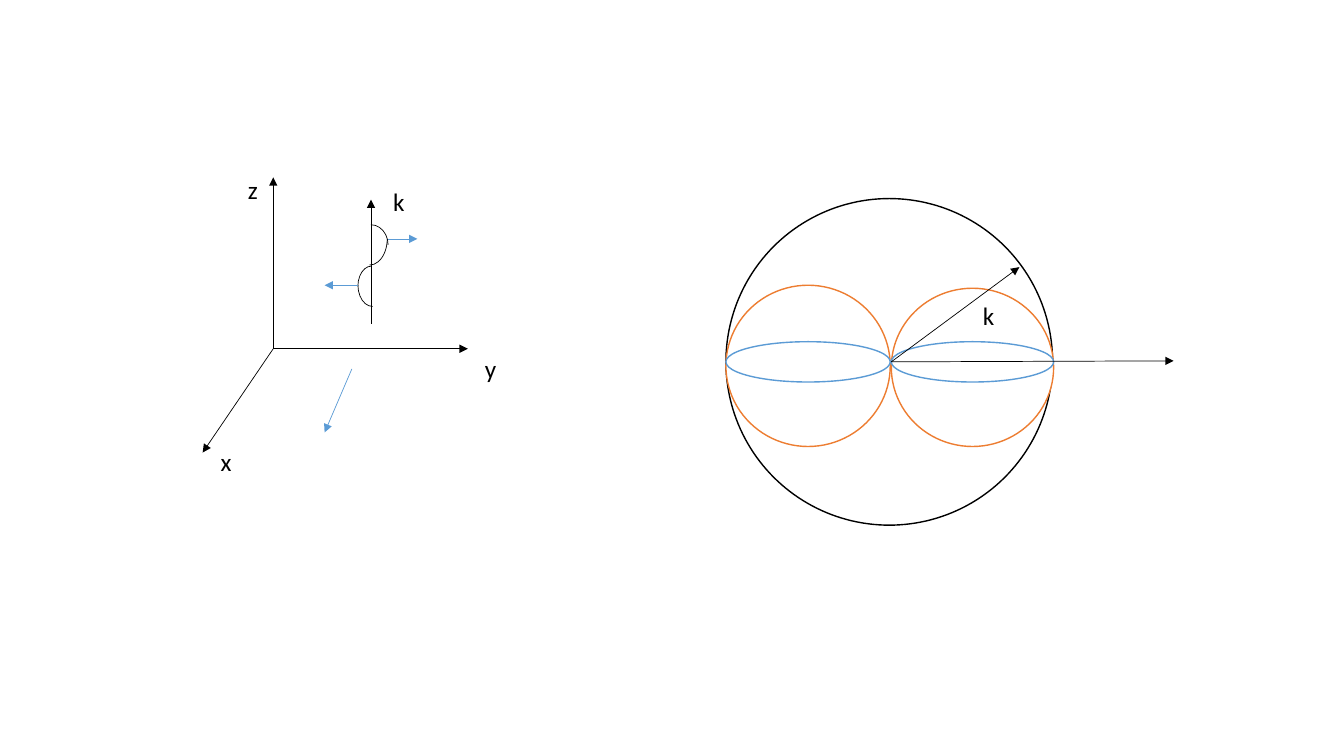
"""Build a slide with a polarised wave in x, y, z axes and its radiation pattern."""
from lxml import etree
from pptx import Presentation
from pptx.dml.color import RGBColor
from pptx.enum.shapes import MSO_CONNECTOR, MSO_SHAPE
from pptx.oxml.ns import qn
from pptx.util import Inches, Pt

ARC = MSO_SHAPE.ARC
ELLIPSE = MSO_SHAPE.OVAL
STRAIGHT = MSO_CONNECTOR.STRAIGHT

BLACK = RGBColor(0x00, 0x00, 0x00)
WHITE = RGBColor(0xFF, 0xFF, 0xFF)
BLUE = RGBColor(0x5B, 0x9B, 0xD5)
ORANGE = RGBColor(0xED, 0x7D, 0x31)

FONT = "Calibri"
THIN, MEDIUM = 0.5, 1
LABEL_SIZE = (0.21, 0.4)

ORIGIN = (2.71, 3.46)
AXIS_TIPS = [(4.64, 3.46), (2.71, 1.76), (2.01, 4.49)]
WAVE_ARROW = ((3.68, 3.21), (3.68, 1.98))
FIELD_ARROWS = [
    ((3.49, 3.66), (3.22, 4.29)),
    ((3.85, 2.37), (4.14, 2.37)),
    ((3.55, 2.83), (3.22, 2.83)),
]
WAVE_ARCS = [
    ((3.51, 2.23, 0.34, 0.4), 0, False),
    ((3.49, 2.11, 0.35, 0.52), 180, True),
    ((3.55, 2.64, 0.27, 0.4), 0, True),
    ((3.55, 2.62, 0.29, 0.42), 180, False),
]

CENTRE = (8.84, 3.59)
SPHERE = (7.2, 1.97, 3.24, 3.24)
LOBES = [
    ((7.2, 2.83, 1.63, 1.6), ORANGE),
    ((8.84, 2.86, 1.61, 1.57), ORANGE),
    ((7.2, 3.39, 1.63, 0.4), BLUE),
    ((8.84, 3.39, 1.61, 0.4), BLUE),
]
PATTERN_TIPS = [(10.11, 2.65), (11.64, 3.58)]

LABELS = [
    ("x", (2.09, 4.38)),
    ("y", (4.71, 3.46)),
    ("z", (2.36, 1.68)),
    ("k", (3.8, 1.8)),
    ("k", (9.65, 2.93)),
]


def add_arrow(page, start, end, color=BLACK):
    """Draw a thin line with an arrowhead at its end."""
    arrow = page.shapes.add_connector(STRAIGHT, *map(Inches, start + end))
    arrow.line.color.rgb = color
    arrow.line.width = Pt(THIN)
    properties = arrow.element.spPr
    etree.SubElement(properties.find(qn("a:ln")), qn("a:tailEnd"), type="triangle")
    etree.SubElement(properties, qn("a:effectLst"))


def add_outline(page, kind, frame, color=BLACK, width=MEDIUM, fill=None):
    """Draw an outlined preset shape, filled only when a fill is given."""
    shape = page.shapes.add_shape(kind, *map(Inches, frame))
    shape.shadow.inherit = False
    shape.line.color.rgb = color
    shape.line.width = Pt(width)
    if fill is None:
        shape.fill.background()
    else:
        shape.fill.solid()
        shape.fill.fore_color.rgb = fill
    return shape


def add_label(page, text, corner, size=18, color=BLACK):
    """Write a one-letter label from its top left corner."""
    box = page.shapes.add_textbox(*map(Inches, corner + LABEL_SIZE))
    frame = box.text_frame
    frame.word_wrap = True
    frame.margin_right = 0
    span = frame.paragraphs[0].add_run()
    span.text = text
    span.font.name = FONT
    span.font.size = Pt(size)
    span.font.color.rgb = color


def draw_wave(page):
    """Draw the axes, the travelling wave and its field arrows."""
    for tip in AXIS_TIPS:
        add_arrow(page, ORIGIN, tip)
    add_arrow(page, *WAVE_ARROW)
    for frame, rotation, flipped in WAVE_ARCS:
        arc = add_outline(page, ARC, frame, width=THIN)
        arc.rotation = rotation
        if flipped:
            arc.element.spPr.find(qn("a:xfrm")).set("flipH", "1")
    for start, end in FIELD_ARROWS:
        add_arrow(page, start, end, BLUE)


def draw_pattern(page):
    """Draw the sphere, its lobes and the two direction arrows."""
    add_outline(page, ELLIPSE, SPHERE)
    for frame, color in LOBES:
        add_outline(page, ELLIPSE, frame, color, fill=WHITE)
    for tip in PATTERN_TIPS:
        add_arrow(page, CENTRE, tip)


def main():
    """Build and save the deck."""
    deck = Presentation()
    deck.slide_width, deck.slide_height = Inches(13.33), Inches(7.5)
    page = deck.slides.add_slide(deck.slide_layouts[6])
    draw_wave(page)
    draw_pattern(page)
    for text, corner in LABELS:
        add_label(page, text, corner)
    deck.save("out.pptx")


if __name__ == "__main__":
    main()
